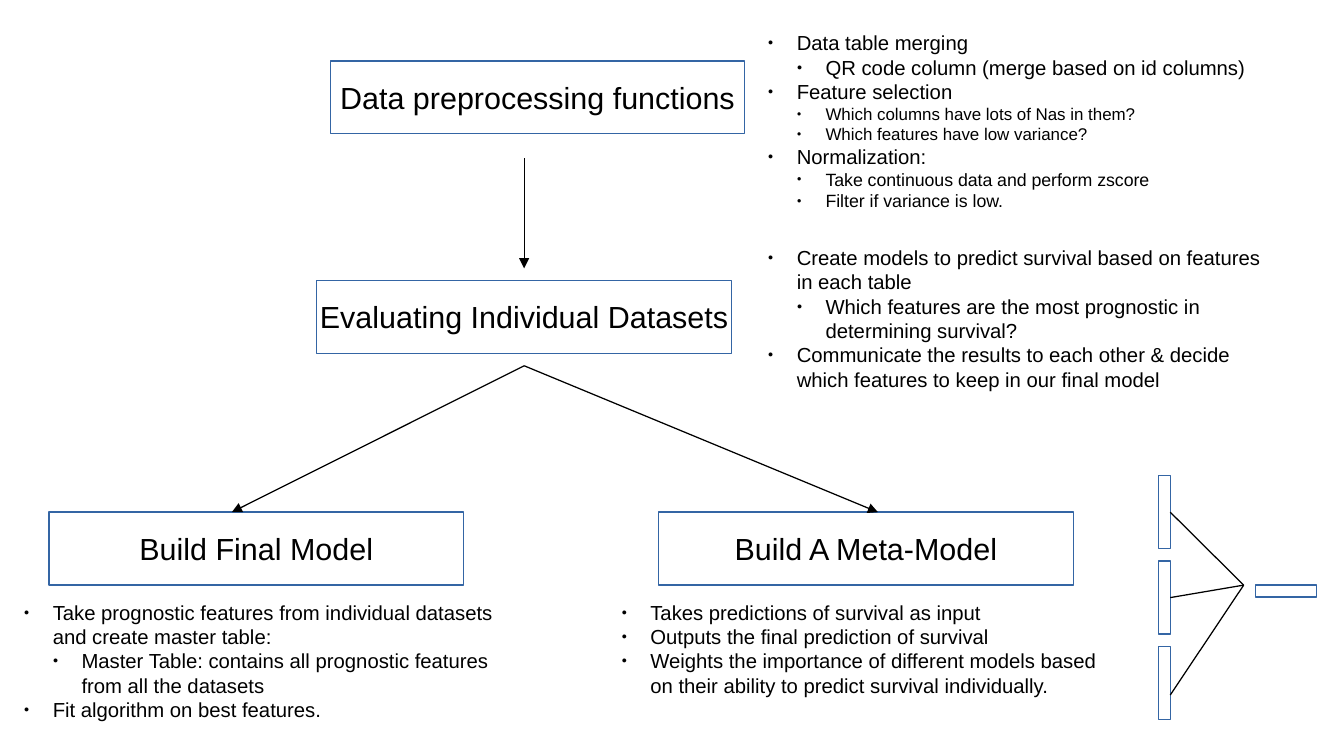
from dataclasses import dataclass

import pptx
import pptx.dml.color
import pptx.enum.shapes
import pptx.enum.text
import pptx.oxml
import pptx.oxml.ns
import pptx.shapes.autoshape
import pptx.slide
import pptx.text.text
import pptx.util

Cm = pptx.util.Cm
Pt = pptx.util.Pt


@dataclass(frozen=True)
class Theme:
    font: str = "Arial"
    text: str = "000000"
    outline: str = "3465A4"
    connector: str = "000000"
    line_width: float = 0.75
    heading: float = 18
    body: float = 12
    detail: float = 10.5
    small: float = 10
    bullet_percent: int = 45
    bullet_indent: float = 0.6


THEME = Theme()


@dataclass(frozen=True)
class Bullet:
    text: str
    level: int = 0
    size: float = THEME.body


@dataclass(frozen=True)
class Stage:
    title: str
    left: float
    top: float
    list_left: float
    list_top: float
    list_height: float
    bullets: tuple[Bullet, ...]


@dataclass(frozen=True)
class Link:
    start: tuple[float, float]
    end: tuple[float, float]
    arrow: bool = False


# Sizes in centimetres
STAGE_WIDTH, STAGE_HEIGHT = 8.64, 1.52
LIST_WIDTH = 10.92
LIST_RIGHT = 15.75
ROW_TOP, ROW_LIST_TOP = 10.67, 12.37
FORK = (10.92, 7.62)

STAGES = (
    Stage("Data preprocessing functions", 6.88, 1.27, LIST_RIGHT, 0.51, 3.76, (
        Bullet("Data table merging"),
        Bullet("QR code column (merge based on id columns)", 1),
        Bullet("Feature selection"),
        Bullet("Which columns have lots of Nas in them?", 1, THEME.small),
        Bullet("Which features have low variance?", 1, THEME.small),
        Bullet("Normalization:"),
        Bullet("Take continuous data and perform zscore", 1, THEME.detail),
        Bullet("Filter if variance is low.", 1, THEME.detail),
    )),
    Stage("Evaluating Individual Datasets", 6.6, 5.84, LIST_RIGHT, 4.98, 3.1, (
        Bullet("Create models to predict survival based on features in each table"),
        Bullet("Which features are the most prognostic in determining survival?", 1),
        Bullet("Communicate the results to each other & decide which features "
               "to keep in our final model"),
    )),
    Stage("Build Final Model", 1.02, ROW_TOP, 0.25, ROW_LIST_TOP, 2.62, (
        Bullet("Take prognostic features from individual datasets and create master table:"),
        Bullet("Master Table: contains all prognostic features from all the datasets", 1),
        Bullet("Fit algorithm on best features."),
    )),
    Stage("Build A Meta-Model", 13.72, ROW_TOP, 12.7, ROW_LIST_TOP, 2.16, (
        Bullet("Takes predictions of survival as input"),
        Bullet("Outputs the final prediction of survival"),
        Bullet("Weights the importance of different models based on their ability "
               "to predict survival individually."),
    )),
)

FLOW = (
    Link((FORK[0], 3.3), (FORK[0], 5.59), arrow=True),
    Link(FORK, (4.83, ROW_TOP), arrow=True),
    Link(FORK, (18.29, ROW_TOP), arrow=True),
)

# Small meta-model sketch: three inputs join into one output
INPUT_LEFT, INPUT_TOP, INPUT_STEP = 24.13, 9.91, 1.78
BAR_THICKNESS, OUTPUT_WIDTH = 0.25, 1.27
JOIN = (25.91, 12.19)
OUTPUT_LEFT = 26.16
INPUT_EXITS = (10.67, 12.45, 14.48)


def write_text(paragraph: pptx.text.text._Paragraph, text: str, *, size: float,
               align: pptx.enum.text.PP_ALIGN = pptx.enum.text.PP_ALIGN.LEFT,
               color: str = THEME.text) -> None:
    paragraph.alignment = align
    run = paragraph.add_run()
    run.text = text
    run.font.name = THEME.font
    run.font.size = Pt(size)
    run.font.color.rgb = pptx.dml.color.RGBColor.from_string(color)


def set_bullet(paragraph: pptx.text.text._Paragraph, level: int) -> None:
    paragraph.level = level
    properties = paragraph._p.get_or_add_pPr()
    properties.set("marL", str(int(Cm(THEME.bullet_indent * (level + 1)))))
    properties.set("indent", str(-int(Cm(THEME.bullet_indent))))
    namespace = pptx.oxml.ns.nsdecls("a")
    for element in (
        f'<a:buClr {namespace}><a:srgbClr val="{THEME.text}"/></a:buClr>',
        f'<a:buSzPct {namespace} val="{THEME.bullet_percent * 1000}"/>',
        f'<a:buFont {namespace} typeface="{THEME.font}"/>',
        f'<a:buChar {namespace} char="●"/>',
    ):
        properties.append(pptx.oxml.parse_xml(element))


def add_box(slide: pptx.slide.Slide, left: float, top: float, width: float,
            height: float) -> pptx.shapes.autoshape.Shape:
    shape = slide.shapes.add_shape(pptx.enum.shapes.MSO_SHAPE.RECTANGLE,
                                   Cm(left), Cm(top), Cm(width), Cm(height))
    shape.shadow.inherit = False
    shape.fill.background()
    shape.line.color.rgb = pptx.dml.color.RGBColor.from_string(THEME.outline)
    shape.line.width = Pt(THEME.line_width)
    return shape


def add_stage(slide: pptx.slide.Slide, stage: Stage) -> None:
    title = add_box(slide, stage.left, stage.top, STAGE_WIDTH, STAGE_HEIGHT).text_frame
    title.word_wrap = False
    title.vertical_anchor = pptx.enum.text.MSO_ANCHOR.MIDDLE
    write_text(title.paragraphs[0], stage.title, size=THEME.heading,
               align=pptx.enum.text.PP_ALIGN.CENTER)

    details = slide.shapes.add_textbox(Cm(stage.list_left), Cm(stage.list_top),
                                       Cm(LIST_WIDTH), Cm(stage.list_height)).text_frame
    details.word_wrap = True
    for index, bullet in enumerate(stage.bullets):
        paragraph = details.add_paragraph() if index else details.paragraphs[0]
        set_bullet(paragraph, bullet.level)
        write_text(paragraph, bullet.text, size=bullet.size)


def add_link(slide: pptx.slide.Slide, link: Link) -> None:
    connector = slide.shapes.add_connector(
        pptx.enum.shapes.MSO_CONNECTOR.STRAIGHT,
        *(Cm(value) for value in link.start + link.end))
    connector.line.color.rgb = pptx.dml.color.RGBColor.from_string(THEME.connector)
    connector.line.width = Pt(THEME.line_width)
    namespace = pptx.oxml.ns.nsdecls("a")
    if link.arrow:
        connector.line._get_or_add_ln().append(
            pptx.oxml.parse_xml(f'<a:tailEnd {namespace} type="triangle"/>'))
    connector._element.spPr.append(pptx.oxml.parse_xml(f"<a:effectLst {namespace}/>"))


def add_meta_model(slide: pptx.slide.Slide) -> None:
    for index, exit_top in enumerate(INPUT_EXITS):
        add_box(slide, INPUT_LEFT, INPUT_TOP + index * INPUT_STEP,
                BAR_THICKNESS, STAGE_HEIGHT)
        add_link(slide, Link((INPUT_LEFT + BAR_THICKNESS, exit_top), JOIN))
    add_box(slide, OUTPUT_LEFT, JOIN[1], OUTPUT_WIDTH, BAR_THICKNESS)


def main() -> None:
    presentation = pptx.Presentation()
    presentation.slide_width = Cm(28)
    presentation.slide_height = Cm(15.75)
    slide = presentation.slides.add_slide(presentation.slide_layouts[6])

    # Stages with their bullet lists
    for stage in STAGES:
        add_stage(slide, stage)

    # Arrows between stages
    for link in FLOW:
        add_link(slide, link)

    add_meta_model(slide)
    presentation.save("out.pptx")


main()
